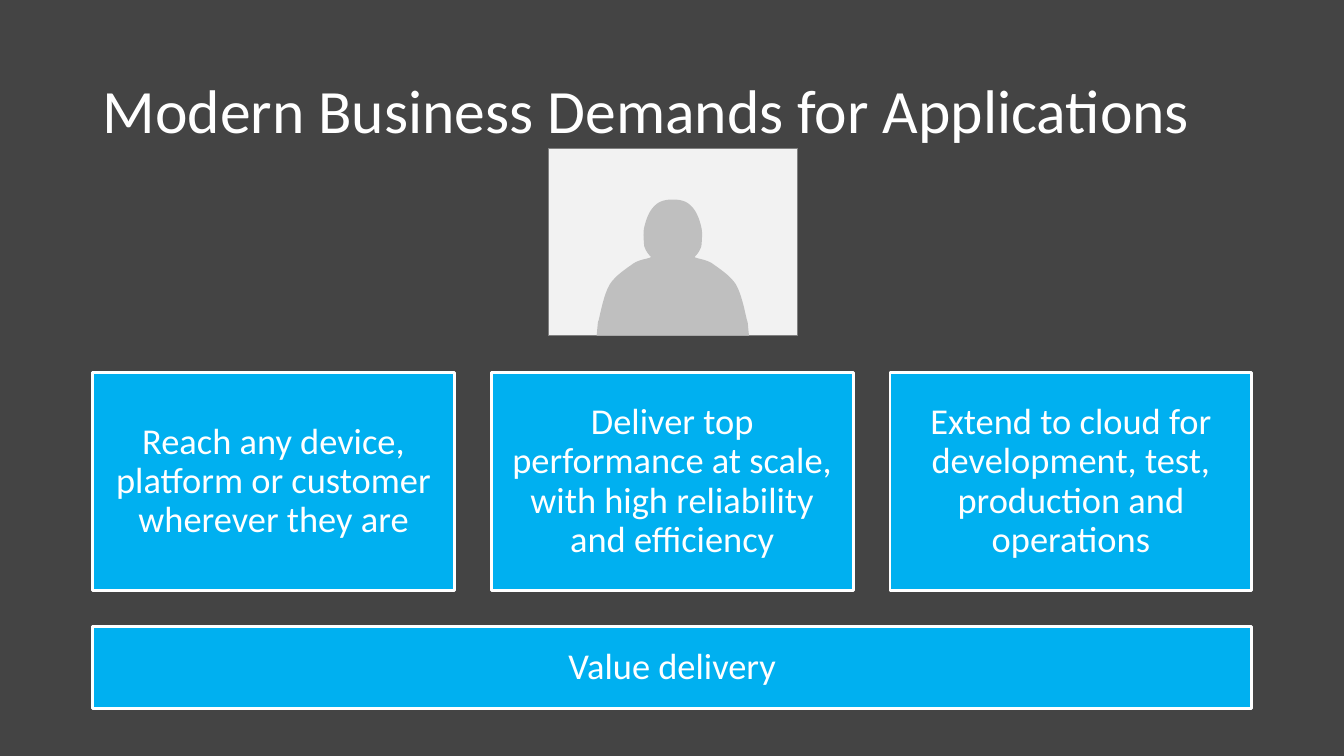
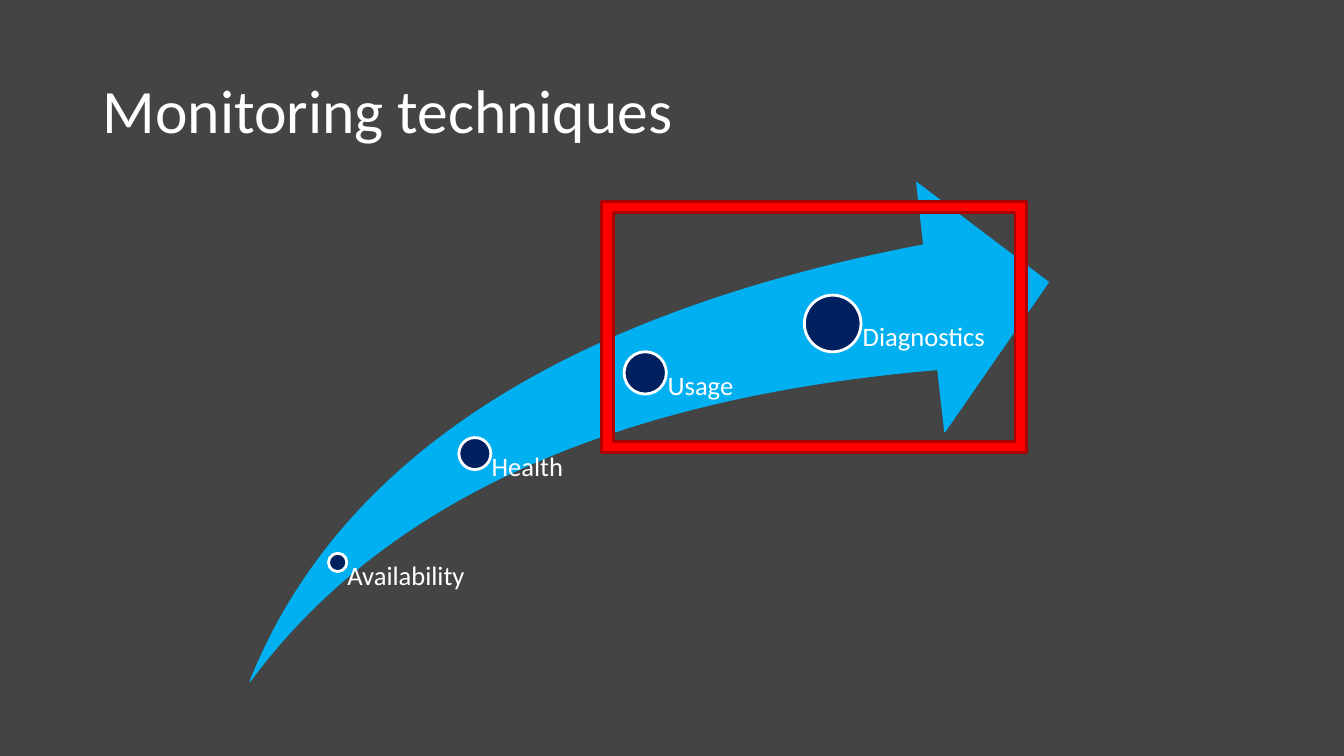
from dataclasses import dataclass

from pptx import Presentation
from pptx.dml.color import RGBColor
from pptx.enum.shapes import MSO_SHAPE as Shape
from pptx.enum.text import MSO_ANCHOR as Anchor, PP_ALIGN as Align
from pptx.util import Inches, Pt

COLORS = {
    "background": "444444",
    "text": "FFFFFF",
    "accent": "00B0F0",
    "dot": "002060",
    "highlight": "FF0000",
    "highlight_edge": "AD0101",
    "portrait": "F2F2F2",
    "portrait_edge": "808080",
    "silhouette": "BFBFBF",
}
FONT = "Calibri"
TITLE_SIZE, CARD_SIZE, LABEL_SIZE = 44, 26, 19

CARDS = [
    "Reach any device, platform or customer wherever they are",
    "Deliver top performance at scale, with high reliability and efficiency",
    "Extend to cloud for development, test, production and operations",
]
CARD_WIDTH = 31.22

MILESTONES = [
    ("Availability", 10.98, 76.16, 2.3, 17),
    ("Health", 28.16, 54.34, 4, 21),
    ("Usage", 49.5, 38.18, 5.3, 21),
    ("Diagnostics", 72.98, 28.28, 7.1, 21),
]

SILHOUETTE_START = (19.4, 100)
SILHOUETTE_CURVES = [
    [(19.8, 95.7), (19.8, 92.5), (20.2, 91.9)],
    [(21, 87.6), (22.3, 78), (24.7, 72.6)],
    [(27.1, 67.7), (31.6, 64), (34.4, 61.3)],
    [(37.2, 59.1), (40.1, 59.1), (41.3, 58.1)],
    [(40.5, 57), (39.3, 55.4), (38.5, 52.2)],
    [(38.1, 45.2), (38.1, 44.1), (38.9, 40.3)],
    [(39.7, 36.6), (40.9, 32.3), (43.7, 29.6)],
    [(45.3, 28), (47.5, 27.4), (50, 27.4)],
]


@dataclass
class Box:
    left: int
    top: int
    width: int
    height: int

    def point(self, x, y):
        return (round(self.left + self.width * x / 100),
                round(self.top + self.height * y / 100))

    def region(self, x, y, width, height):
        return Box(*self.point(x, y), round(self.width * width / 100),
                   round(self.height * height / 100))

    def place(self):
        return self.left, self.top, self.width, self.height


def color(name):
    return RGBColor.from_string(COLORS[name])


def paint(shape, fill, line=None, weight=2):
    shape.shadow.inherit = False
    shape.fill.solid()
    shape.fill.fore_color.rgb = color(fill)
    if line:
        shape.line.color.rgb = color(line)
        shape.line.width = Pt(weight)
    else:
        shape.line.fill.background()


def add_painted(slide, kind, box, fill, line=None, weight=2):
    shape = slide.shapes.add_shape(kind, *box.place())
    paint(shape, fill, line, weight)
    return shape


def write(shape, text, size, align=Align.LEFT, anchor=Anchor.MIDDLE, insets=None):
    frame = shape.text_frame
    frame.word_wrap = True
    frame.vertical_anchor = anchor
    if insets:
        (frame.margin_left, frame.margin_top,
         frame.margin_right, frame.margin_bottom) = insets
    frame.text = text
    paragraph = frame.paragraphs[0]
    paragraph.alignment = align
    paragraph.line_spacing = 0.9
    font = paragraph.runs[0].font
    font.name = FONT
    font.size = Pt(size)
    font.color.rgb = color("text")


def add_titled_slide(presentation, page, title):
    slide = presentation.slides.add_slide(presentation.slide_layouts[6])
    slide.background.fill.solid()
    slide.background.fill.fore_color.rgb = color("background")
    title_box = page.region(6.9, 5.33, 86.25, 19.33)
    write(slide.shapes.add_textbox(*title_box.place()), title, TITLE_SIZE)
    return slide


def curve_points(start, curves, steps=8):
    points = [start]
    for first, second, end in curves:
        begin = points[-1]
        for step in range(1, steps + 1):
            t = step / steps
            u = 1 - t
            points.append(tuple(
                u ** 3 * a + 3 * u * u * t * b + 3 * u * t * t * c + t ** 3 * d
                for a, b, c, d in zip(begin, first, second, end)))
    return points


def draw_portrait(slide, box):
    add_painted(slide, Shape.RECTANGLE, box, "portrait", "portrait_edge", 0.25)
    left_half = curve_points(SILHOUETTE_START, SILHOUETTE_CURVES)
    right_half = [(100 - x, y) for x, y in reversed(left_half[:-1])]
    outline = [box.point(x, y) for x, y in left_half + right_half]
    builder = slide.shapes.build_freeform(*outline[0])
    builder.add_line_segments(outline[1:], close=True)
    paint(builder.convert_to_shape(), "silhouette")


def draw_card(slide, box, text):
    card = add_painted(slide, Shape.RECTANGLE, box, "accent", "text")
    write(card, text, CARD_SIZE, Align.CENTER, insets=[Inches(0.11)] * 4)


def draw_demands(slide, box):
    step = (100 - CARD_WIDTH) / (len(CARDS) - 1)
    for column, text in enumerate(CARDS):
        draw_card(slide, box.region(column * step, 40.1, CARD_WIDTH, 38.85), text)
    draw_card(slide, box.region(0, 85.43, 100, 14.57), "Value delivery")
    draw_portrait(slide, box.region(39.3, 0, 21.48, 33.45))


def draw_milestone(slide, box, text, x, y, dot_share, label_share):
    center_x, center_y = box.point(x, y)
    size = round(box.width * dot_share / 100)
    dot = Box(center_x - size // 2, center_y - size // 2, size, size)
    add_painted(slide, Shape.OVAL, dot, "dot", "text")
    label = slide.shapes.add_textbox(*box.region(x, y, label_share, 100 - y).place())
    write(label, text, LABEL_SIZE, anchor=Anchor.TOP,
          insets=(round(size * 0.53), 0, 0, 0))


def draw_techniques(slide, box):
    arrow = add_painted(slide, Shape.SWOOSH_ARROW, box, "accent", "accent", 0.75)
    arrow.adjustments[0] = 0.25
    arrow.adjustments[1] = 0.25
    for milestone in MILESTONES:
        draw_milestone(slide, box, *milestone)
    highlight = add_painted(slide, Shape.FRAME, box.region(44.07, 3.84, 53.16, 50.3),
                            "highlight", "highlight_edge")
    highlight.adjustments[0] = 0.045


def main():
    presentation = Presentation()
    presentation.slide_width = Inches(13.33)
    presentation.slide_height = Inches(7.5)
    page = Box(0, 0, presentation.slide_width, presentation.slide_height)

    demands = add_titled_slide(presentation, page,
                               "Modern Business Demands for Applications")
    draw_demands(demands, page.region(6.9, 19.6, 86.25, 74.13))

    techniques = add_titled_slide(presentation, page, "Monitoring techniques")
    draw_techniques(techniques, page.region(18.6, 24.13, 59.41, 66))

    presentation.save("out.pptx")


if __name__ == "__main__":
    main()
